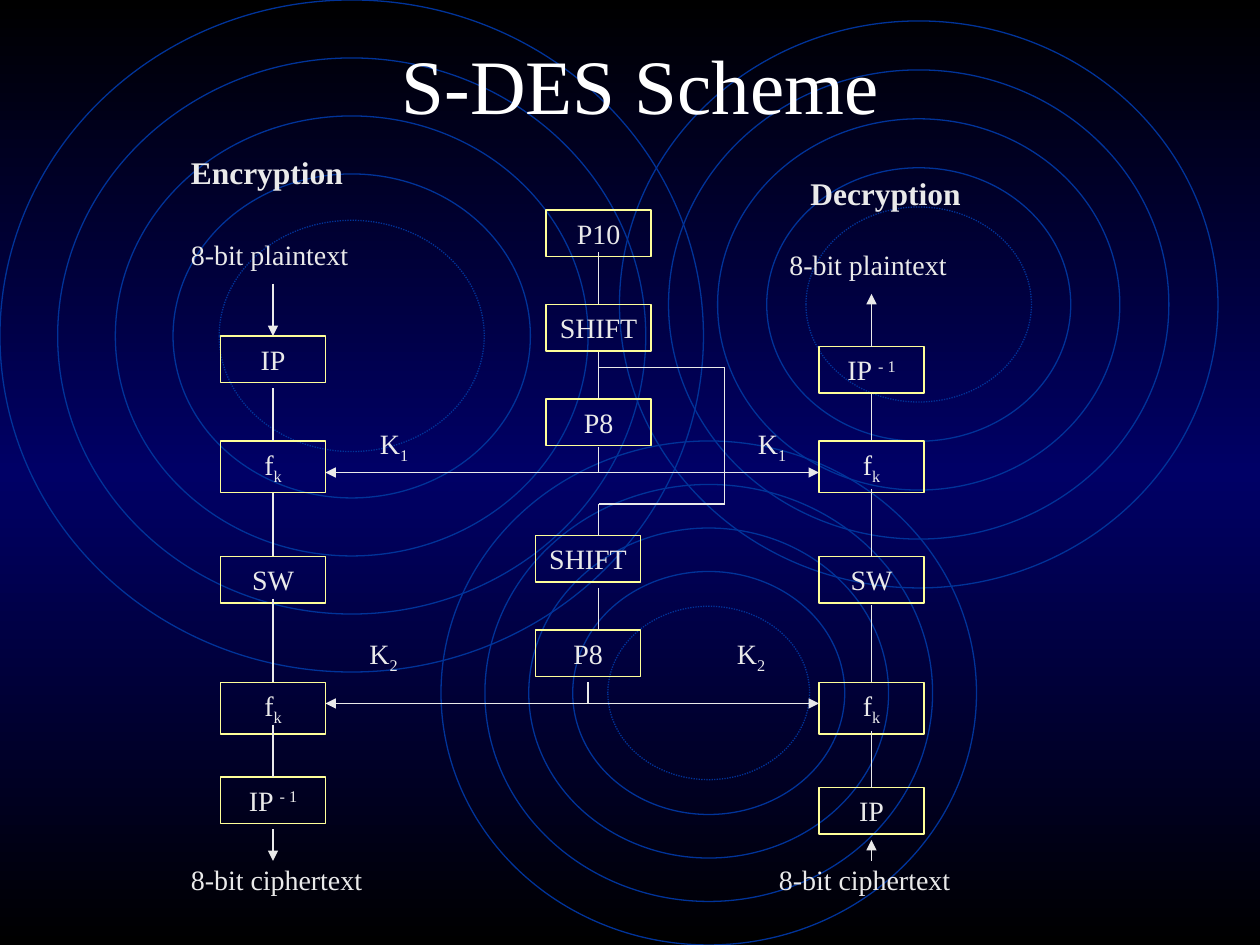
"""Build the S-DES scheme slide on a grid of 120 columns by 90 rows."""
import copy
import dataclasses

import lxml.etree
import pptx
import pptx.dml.color
import pptx.enum.dml
import pptx.enum.shapes
import pptx.enum.text
import pptx.oxml.ns
import pptx.util

ALIGN = pptx.enum.text.PP_ALIGN
ANCHOR = pptx.enum.text.MSO_ANCHOR
SHAPE = pptx.enum.shapes.MSO_SHAPE


@dataclasses.dataclass(frozen=True)
class Theme:
    """Hold the colours, type sizes and line width."""
    font: str = "Times New Roman"
    edge: str = "000000"
    glow: str = "000066"
    ring: str = "003399"
    frame: str = "FFFF99"
    ink: str = "EAEAEA"
    white: str = "FFFFFF"
    title: int = 44
    head: int = 18
    body: int = 16
    line: float = 0.75


THEME = Theme()
CELL = pptx.util.Inches(1) / 12
BOX = 10
PLAIN = 4.44
TALL = 4.92
LEFT, RIGHT = 21, 78


def grid(*units):
    """Turn grid units into lengths."""
    return [pptx.util.Emu(round(unit * CELL)) for unit in units]


def tint(code):
    """Turn a hex code into a colour."""
    return pptx.dml.color.RGBColor.from_string(code)


def stroke(line, code):
    """Give a line its colour and width."""
    line.color.rgb = tint(code)
    line.width = pptx.util.Pt(THEME.line)


def write(shape, text, sub="", sup="", size=THEME.body, color=THEME.ink,
          bold=False, align=ALIGN.LEFT, anchor=ANCHOR.TOP, grow=True):
    """Write text with an optional subscript or superscript."""
    frame = shape.text_frame
    frame.word_wrap = True
    frame.vertical_anchor = anchor
    mode = pptx.enum.text.MSO_AUTO_SIZE
    frame.auto_size = mode.SHAPE_TO_FIT_TEXT if grow else mode.NONE
    para = frame.paragraphs[0]
    para.alignment = align
    for part, shift in ((text, 0), (sub, -25000), (sup, 30000)):
        if not part:
            continue
        run = para.add_run()
        run.text = part
        run.font.name = THEME.font
        run.font.size = pptx.util.Pt(size)
        run.font.bold = bold
        run.font.color.rgb = tint(color)
        if shift:
            run._r.get_or_add_rPr().set("baseline", str(shift))


def paint(page):
    """Fill the background with a dark gradient that glows in the middle."""
    fill = page.background.fill
    fill.gradient()
    fill.gradient_angle = 270
    stops = page._element.xpath(".//a:gsLst")[0]
    stops.insert(1, copy.deepcopy(stops[0]))
    codes = (THEME.edge, THEME.glow, THEME.edge)
    for stop, place, code in zip(fill.gradient_stops, (0, 0.5, 1), codes):
        stop.position = place
        stop.color.rgb = tint(code)


def ripple(page, left, top, width, height):
    """Draw five nested rings, the inmost one dotted."""
    group = page.shapes.add_group_shape()
    for step in (0, 1, 2, 3, 3.8):
        dx, dy = 0.082 * step * width, 0.0863 * step * height
        ring = group.shapes.add_shape(SHAPE.OVAL, *grid(
            left + dx, top + dy, width - 2 * dx, height - 2 * dy))
        ring.shadow.inherit = False
        ring.fill.background()
        stroke(ring.line, THEME.ring)
    ring.line.dash_style = pptx.enum.dml.MSO_LINE.ROUND_DOT


def head(page, text):
    """Place the title in front of the rings."""
    title = page.shapes.title
    page.shapes._spTree.append(title._element)
    title.left, title.top, title.width, title.height = grid(10, 3, 102, 10)
    write(title, text, size=THEME.title, color=THEME.white,
          align=ALIGN.CENTER, anchor=ANCHOR.MIDDLE, grow=False)


def block(page, col, row, text, **form):
    """Draw one framed step of the cipher."""
    high = TALL if form.get("sub") else PLAIN
    shape = page.shapes.add_shape(SHAPE.RECTANGLE, *grid(col, row, BOX, high))
    shape.shadow.inherit = False
    shape.fill.background()
    stroke(shape.line, THEME.frame)
    write(shape, text, align=ALIGN.CENTER, **form)


def label(page, col, row, width, text, **form):
    """Place a free label."""
    high = TALL if form.get("sub") else PLAIN
    box = page.shapes.add_textbox(*grid(col, row, width, high))
    write(box, text, **form)


def link(page, start, end, *tips):
    """Join two grid points, with arrowheads at the named tips."""
    kind = pptx.enum.shapes.MSO_CONNECTOR.STRAIGHT
    line = page.shapes.add_connector(kind, *grid(*start, *end))
    stroke(line.line, THEME.ink)
    name = pptx.oxml.ns.qn
    for tip in tips:
        lxml.etree.SubElement(line.line._get_or_add_ln(), name(f"a:{tip}"),
                              type="triangle")
    lxml.etree.SubElement(line._element.spPr, name("a:effectLst"))


def flow(page, col, spans):
    """Draw the vertical links of one column."""
    for start, end, *tips in spans:
        link(page, (col, start), (col, end), *tips)


def main():
    """Build and save the slide."""
    deck = pptx.Presentation()
    deck.slide_width, deck.slide_height = grid(120, 90)
    page = deck.slides.add_slide(deck.slide_layouts[5])
    paint(page)
    for area in ((0, 0, 67, 64), (42, 42, 51, 48), (59, 2, 57, 54)):
        ripple(page, *area)
    head(page, "S-DES Scheme")

    for col, first, last in ((LEFT, 32, 74), (RIGHT, 75, 33)):
        block(page, col, first, "IP")
        block(page, col, 42, "f", sub="k")
        block(page, col, 53, "SW")
        block(page, col, 65, "f", sub="k")
        block(page, col, last, "IP ", sup="- 1")
    for col, row, text in ((52, 20, "P10"), (52, 29, "SHIFT"), (52, 38, "P8"),
                           (51, 51, "SHIFT"), (51, 60, "P8")):
        block(page, col, row, text)

    flow(page, LEFT + BOX / 2, (
        (27, 32, "tailEnd"), (37, 42), (47, 53), (57, 65), (69, 74),
        (79, 82, "tailEnd")))
    flow(page, RIGHT + BOX / 2, (
        (33, 28, "tailEnd"), (37.5, 42), (46.6, 53), (57.6, 65), (69.6, 75),
        (82, 80, "tailEnd")))
    flow(page, 57, ((24, 29), (33.5, 38), (42.6, 45), (48, 51), (56, 60)))
    flow(page, 56, ((65, 67),))
    flow(page, 69, ((35, 48),))
    for row in (35, 48):
        link(page, (57, row), (69, row))
    for row in (45, 67):
        link(page, (LEFT + BOX, row), (RIGHT, row), "headEnd", "tailEnd")

    for col, row, text in ((17, 14, "Encryption"), (76, 16, "Decryption")):
        label(page, col, row, 18, text, size=THEME.head, bold=True)
    for col, row, width, text in (
            (17, 22, 19, "8-bit plaintext"), (74, 23, 19, "8-bit plaintext"),
            (17, 81.6, 22, "8-bit ciphertext"),
            (73, 81.6, 22, "8-bit ciphertext")):
        label(page, col, row, width, text)
    for col, row, width, key in ((35, 40, 7, "1"), (71, 40, 7, "1"),
                                 (34, 60, 8, "2"), (69, 60, 8, "2")):
        label(page, col, row, width, "K", sub=key)
    deck.save("out.pptx")


if __name__ == "__main__":
    main()
